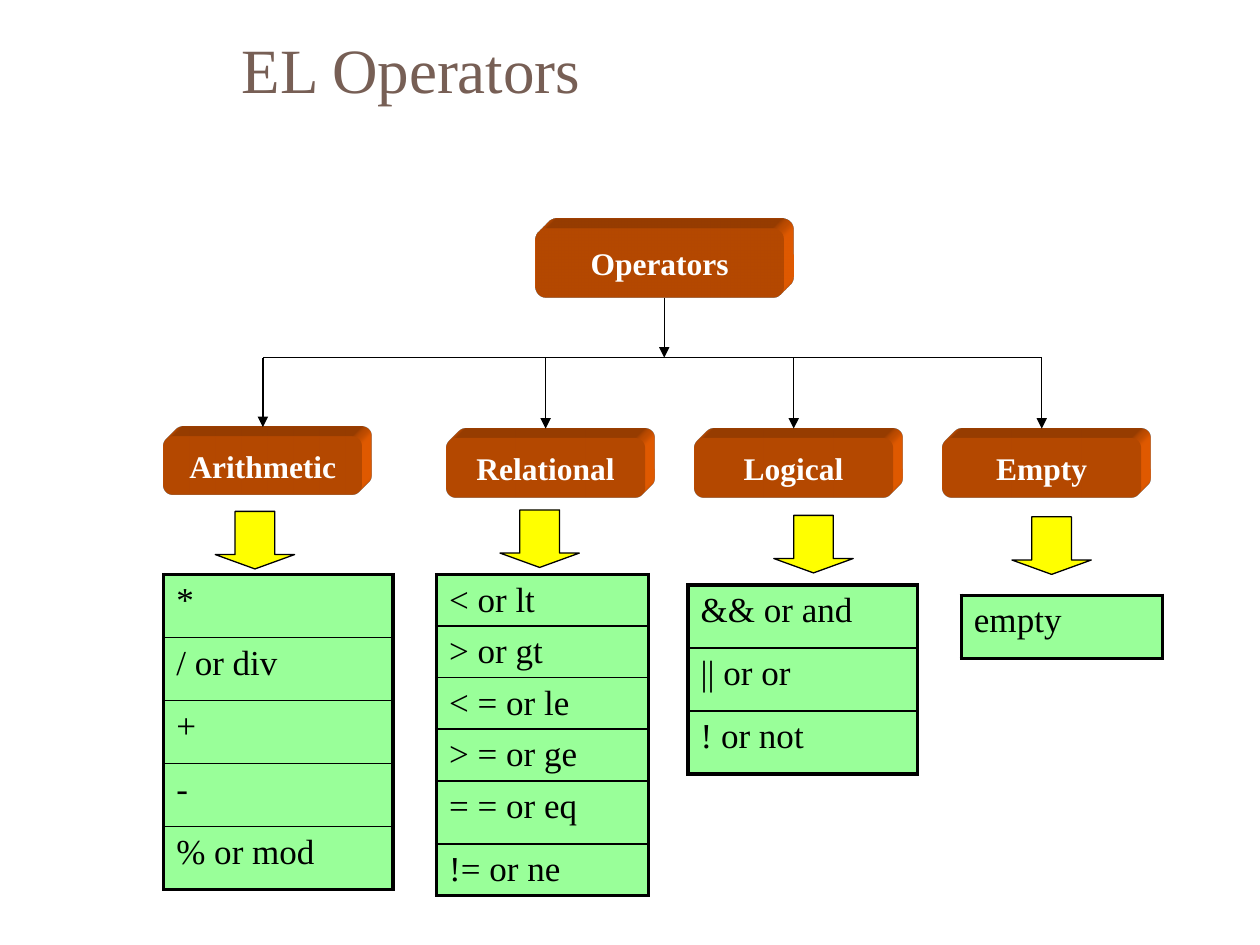
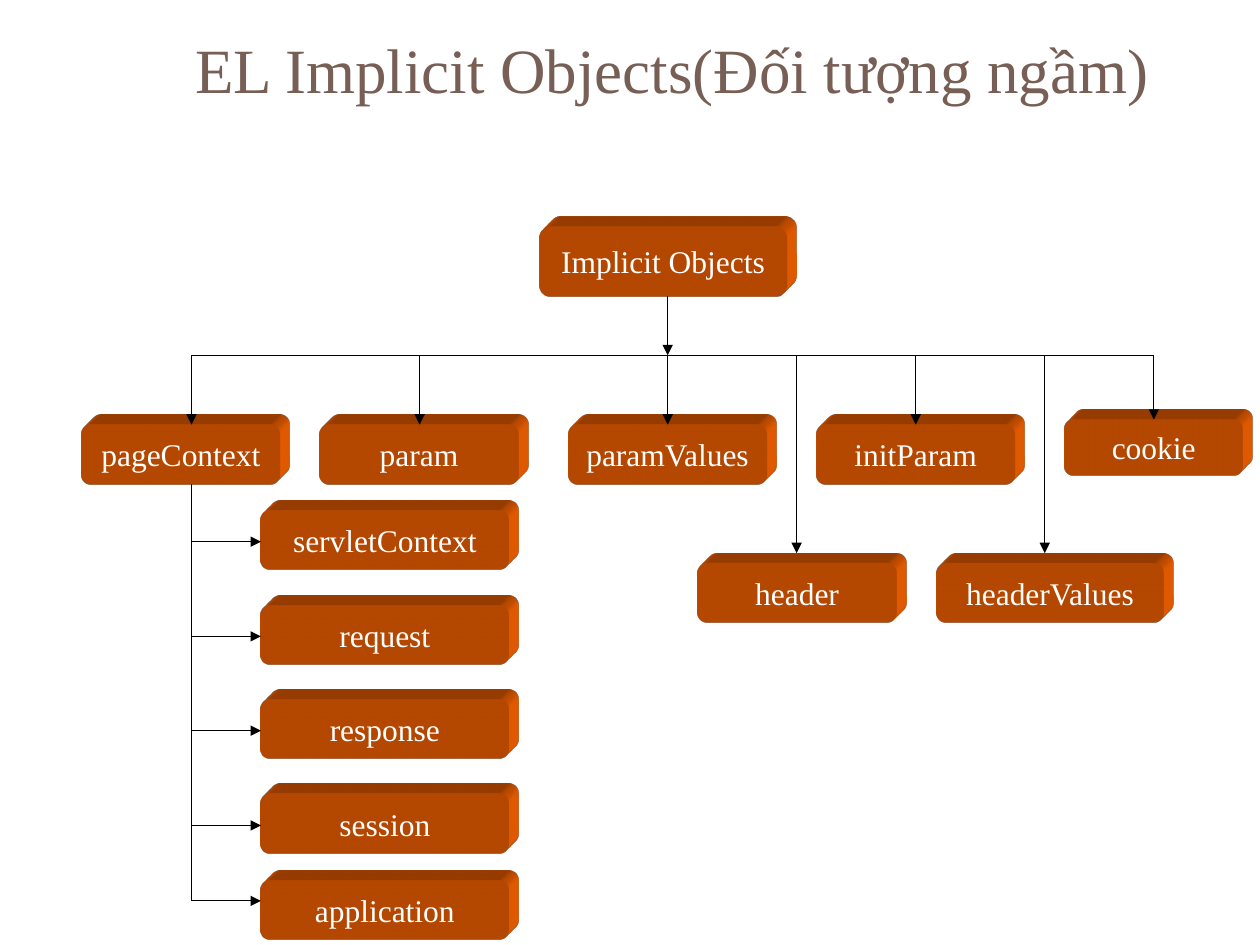
from lxml.etree import SubElement as Sub
from pptx import Presentation
from pptx.dml.color import RGBColor as Rgb
from pptx.enum.shapes import MSO_CONNECTOR as Link, MSO_SHAPE as Kind
from pptx.enum.text import MSO_ANCHOR as Anchor, MSO_AUTO_SIZE as Fit, PP_ALIGN as Align
from pptx.oxml import parse_xml
from pptx.oxml.ns import nsdecls, qn
from pptx.util import Cm, Pt

HUES = {"title": "775F55", "block": "FF6600", "label": "FFFFFF",
        "arrow": "FFFF00", "cell": "99FF99", "ink": "000000"}
FACE = "Times New Roman"
THIN = 0.75
BLOCK_H = 1.2
TITLE_FONT = {"name": FACE, "size": Pt(36), "bold": False}
LABEL_FONT = {"name": FACE, "size": Pt(18), "bold": False}
CELL_FONT = {"name": FACE, "size": Pt(20), "bold": False}
TITLE_FRAME = {"vertical_anchor": Anchor.MIDDLE, "word_wrap": True, "auto_size": Fit.NONE}
LABEL_FRAME = {"vertical_anchor": Anchor.MIDDLE, "word_wrap": False}

# Each branch: label, block box, x of its arrow, y of the arrow tip
OPS = [("Arithmetic", (3.3, 8.8, 4, 1.17), 5.3, 8.61),
       ("Relational", (9, 8.84, 4, BLOCK_H), 11, 8.64),
       ("Logical", (14, 8.84, 4, BLOCK_H), 16, 8.64),
       ("Empty", (19, 8.84, 4, BLOCK_H), 21, 8.64)]

# Each list: down arrow corner, table corner and width, row height, rows
LISTS = [((4.34, 10.31), (3.3, 11.58, 4.62), 1.27, ["*", "/ or div", "+", "-", "% or mod"]),
         ((10.08, 10.28), (8.8, 11.58, 4.27), 1.04,
          ["< or lt", "> or gt", "< = or le", "> = or ge", "= = or eq", "!= or ne"]),
         ((15.6, 10.39), (13.87, 11.79, 4.62), 1.27, ["&& or and", "|| or or", "! or not"]),
         ((20.4, 10.42), (19.38, 12, 4.06), 1.27, ["empty"])]
TALL_ROWS = {"= = or eq": 1.27}

SCOPES = [("pageContext", (1.65, 8.56, 4, BLOCK_H), 3.86, 8.56),
          ("param", (6.45, 8.56, 4, BLOCK_H), 8.46, 8.56),
          ("paramValues", (11.46, 8.56, 4, BLOCK_H), 13.46, 8.56),
          ("initParam", (16.46, 8.56, 4, BLOCK_H), 18.46, 8.56),
          ("cookie", (21.46, 8.46, 3.6, 1.12), 23.26, 8.46),
          ("header", (14.07, 11.35, 4, BLOCK_H), 16.06, 11.15),
          ("headerValues", (18.87, 11.35, 4.6, BLOCK_H), 21.06, 11.15)]

# Each page part: label, block offset and arrow offset from the top of the stack
PARTS = [("servletContext", 0, 0.63), ("request", 1.91, 2.54), ("response", 3.81, 4.44),
         ("session", 5.71, 6.35), ("application", 7.46, 7.87)]


def shade(hue):
    return Rgb.from_string(HUES[hue])


def apply(thing, form):
    for key, val in form.items():
        setattr(thing, key, val)


def write(frame, text, form, hue, align=Align.LEFT):
    para = frame.paragraphs[0]
    para.alignment = align
    run = para.add_run()
    run.text = text
    apply(run.font, form)
    run.font.color.rgb = shade(hue)


def add_page(deck, title, left):
    """Add a slide whose title runs from left to the right edge."""
    page = deck.slides.add_slide(deck.slide_layouts[5])
    head = page.shapes.title
    apply(head, {"left": Cm(left), "top": Cm(0), "width": Cm(25.4 - left), "height": Cm(2.74)})
    apply(head.text_frame, TITLE_FRAME)
    write(head.text_frame, title, TITLE_FONT, "title")
    return page


def add_line(page, start, end, tip=True):
    line = page.shapes.add_connector(Link.STRAIGHT, *map(Cm, start + end))
    line.line.color.rgb = shade("ink")
    line.line.width = Pt(THIN)
    if tip:
        Sub(line.line._get_or_add_ln(), qn("a:tailEnd"), type="triangle")
    Sub(line._element.spPr, qn("a:effectLst"))


def add_form(page, kind, box, hue):
    form = page.shapes.add_shape(kind, *map(Cm, box))
    form.shadow.inherit = False
    form.fill.solid()
    form.fill.fore_color.rgb = shade(hue)
    return form


def add_block(page, label, box, bold=False):
    """Add a labelled block with depth to the upper right."""
    block = add_form(page, Kind.ROUNDED_RECTANGLE, box, "block")
    block.line.fill.background()
    for part in (
            '<a:scene3d {}><a:camera prst="legacyObliqueTopRight"/>'
            '<a:lightRig rig="legacyFlat3" dir="b"/></a:scene3d>',
            '<a:sp3d {} extrusionH="201600" prstMaterial="legacyMatte">'
            '<a:bevelT w="13500" h="13500" prst="angle"/>'
            '<a:bevelB w="13500" h="13500" prst="angle"/>'
            f'<a:extrusionClr><a:srgbClr val="{HUES["block"]}"/></a:extrusionClr></a:sp3d>'):
        block._element.spPr.append(parse_xml(part.format(nsdecls("a"))))
    apply(block.text_frame, LABEL_FRAME)
    write(block.text_frame, label, {**LABEL_FONT, "bold": bold}, "label", Align.CENTER)


def add_tree(page, root, box, stem, rail, kids, bold=False):
    """Add a root block, its stem at x, the rail at y and a branch for each kid."""
    add_block(page, root, box, bold)
    add_line(page, (stem, box[1] + box[3]), (stem, rail))
    add_line(page, (kids[0][2], rail), (max(kid[2] for kid in kids), rail), tip=False)
    for label, spot, mid, tip in kids:
        add_block(page, label, spot, bold)
        add_line(page, (mid, rail), (mid, tip))


def add_edge(cell, side, width):
    edge = Sub(cell._tc.get_or_add_tcPr(), qn(f"a:ln{side}"), w=str(Pt(width)))
    Sub(Sub(edge, qn("a:solidFill")), qn("a:srgbClr"), val=HUES["ink"])


def add_list(page, box, step, rows):
    """Add a framed table of one column, with a thin rule between rows."""
    left, top, width = box
    highs = [TALL_ROWS.get(row, step) for row in rows]
    grid = page.shapes.add_table(len(rows), 1, *map(Cm, (left, top, width, sum(highs)))).table
    apply(grid, {"first_row": False, "horz_banding": False})
    last = len(rows) - 1
    for num, (text, high) in enumerate(zip(rows, highs)):
        grid.rows[num].height = Cm(high)
        cell = grid.cell(num, 0)
        for side, thick in (("L", True), ("R", True), ("T", num == 0), ("B", num == last)):
            add_edge(cell, side, 2.25 if thick else 1)
        cell.fill.solid()
        cell.fill.fore_color.rgb = shade("cell")
        write(cell.text_frame, text, CELL_FONT, "ink")


def add_drop(page, spot):
    drop = add_form(page, Kind.DOWN_ARROW, (*spot, 1.6, 1.16), "arrow")
    drop.adjustments[1] = 0.25
    drop.line.color.rgb = shade("ink")
    drop.line.width = Pt(THIN)


def add_stack(page, box, trunk):
    """Add the page parts in the box, tied to a trunk at x that starts at y."""
    left, top, width, high = box
    mid = trunk[0]
    add_line(page, trunk, (mid, top + PARTS[-1][2]), tip=False)
    for label, down, tie in PARTS:
        add_block(page, label, (left, top + down, width, high))
        add_line(page, (mid, top + tie), (left, top + tie))


def main():
    deck = Presentation()
    apply(deck, {"slide_width": Cm(25.4), "slide_height": Cm(19.05)})

    page = add_page(deck, "EL Operators", 4.62)
    add_tree(page, "Operators", (10.8, 4.6, 5, 1.4), 13.39, 7.21, OPS, bold=True)
    for spot, box, step, rows in LISTS:
        add_drop(page, spot)
        add_list(page, box, step, rows)

    page = add_page(deck, "EL Implicit Objects(Đối tượng ngầm)", 3.68)
    add_tree(page, "Implicit Objects", (10.87, 4.57, 5, 1.4), 13.46, 7.16, SCOPES)
    add_stack(page, (5.26, 10.29, 5, BLOCK_H), (3.86, 9.76))

    deck.save("out.pptx")


if __name__ == "__main__":
    main()
